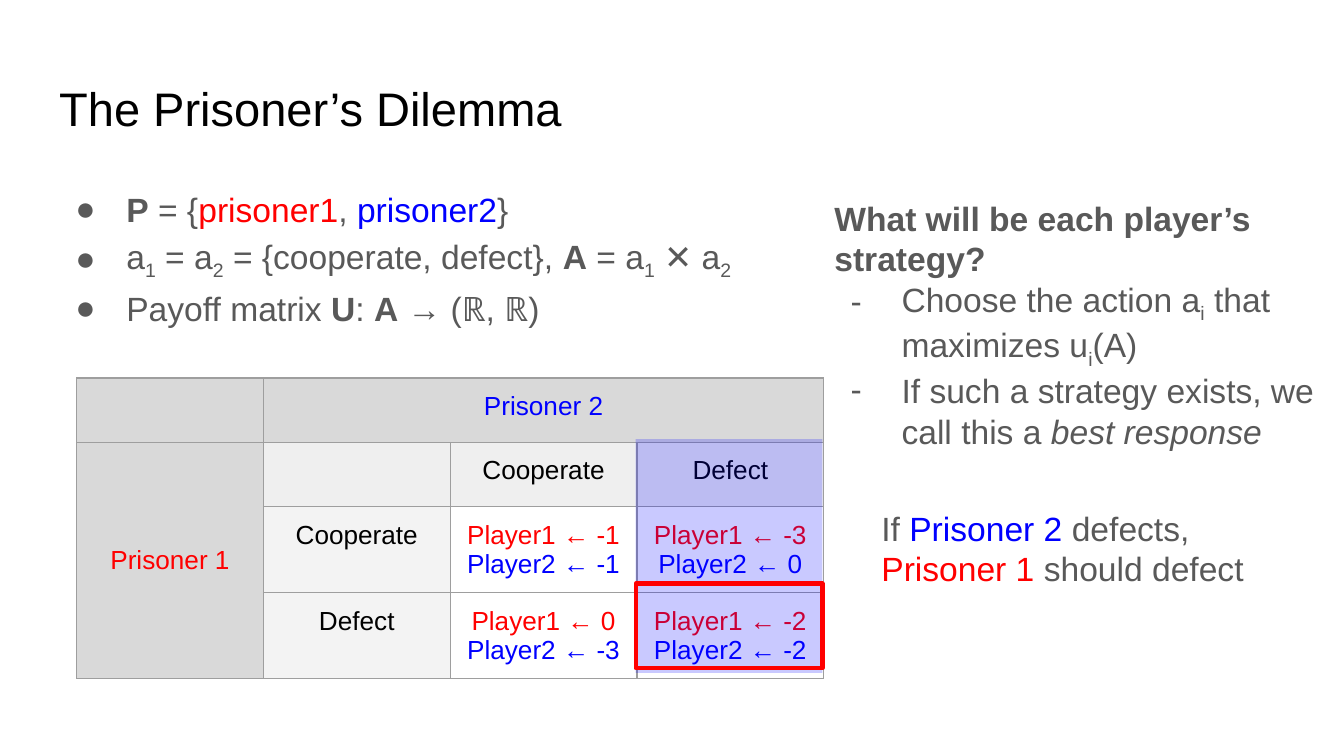
from dataclasses import dataclass
from typing import Optional

from lxml.etree import SubElement
from pptx import Presentation
from pptx.dml.color import RGBColor
from pptx.enum.shapes import MSO_SHAPE as Shape
from pptx.enum.text import MSO_ANCHOR as Anchor, MSO_AUTO_SIZE as AutoSize, PP_ALIGN as Align
from pptx.oxml.ns import qn
from pptx.util import Inches, Pt

WIDTH, HEIGHT = Inches(10), Inches(5.625)
FONT = "Arial"
BLACK = RGBColor(0, 0, 0)
GRAY = RGBColor(0x59, 0x59, 0x59)
RED = RGBColor(0xFF, 0, 0)
BLUE = RGBColor(0, 0, 0xFF)
BORDER = RGBColor(0x9E, 0x9E, 0x9E)
HEADER = RGBColor(0xD9, 0xD9, 0xD9)
SUBHEADER = RGBColor(0xEF, 0xEF, 0xEF)
ROW_LABEL = RGBColor(0xF3, 0xF3, 0xF3)


@dataclass(frozen=True)
class Frame:
    """Percentages of the slide's width and height."""
    left: float
    top: float
    width: float
    height: float

    def lengths(self) -> tuple:
        return (int(WIDTH * self.left / 100), int(HEIGHT * self.top / 100),
                int(WIDTH * self.width / 100), int(HEIGHT * self.height / 100))


@dataclass(frozen=True)
class Span:
    text: str
    color: Optional[RGBColor] = None
    bold: bool = False
    italic: bool = False
    subscript: bool = False


@dataclass(frozen=True)
class Line:
    spans: tuple
    bullet: str = ""
    bold: bool = False
    color: RGBColor = GRAY
    size: float = 18
    align: Align = Align.LEFT
    spacing: float = 1.0


@dataclass(frozen=True)
class Cell:
    row: int
    column: int
    lines: tuple = ()
    fill: Optional[RGBColor] = None
    anchor: Anchor = Anchor.TOP


def sub(text: str) -> Span:
    return Span(text, subscript=True)


def strong(text: str) -> Span:
    return Span(text, bold=True)


def add_bullet(para, bullet: str) -> None:
    properties = para._p.get_or_add_pPr()
    properties.set("marL", str(Inches(0.5)))
    properties.set("indent", str(Inches(-0.38)))
    color = SubElement(properties, qn("a:buClr"))
    SubElement(color, qn("a:srgbClr")).set("val", str(GRAY))
    SubElement(properties, qn("a:buFont")).set("typeface", FONT)
    SubElement(properties, qn("a:buChar")).set("char", bullet)


def write_span(para, span: Span) -> None:
    run = para.add_run()
    run.text = span.text
    if span.color is not None:
        run.font.color.rgb = span.color
    if span.bold:
        run.font.bold = True
    if span.italic:
        run.font.italic = True
    if span.subscript:
        run._r.get_or_add_rPr().set("baseline", "-25000")


def write_lines(text_frame, lines: tuple) -> None:
    for index, line in enumerate(lines):
        para = text_frame.add_paragraph() if index else text_frame.paragraphs[0]
        para.alignment, para.line_spacing = line.align, line.spacing
        para.space_before = Pt(0)
        if line.bullet:
            add_bullet(para, line.bullet)
        para.font.name, para.font.size = FONT, Pt(line.size)
        para.font.color.rgb, para.font.bold = line.color, line.bold
        for span in line.spans:
            if span.text == "\n":
                para.add_line_break()
            else:
                write_span(para, span)


def fill_box(box, frame: Frame, lines: tuple, anchor: Anchor = Anchor.TOP) -> None:
    box.left, box.top, box.width, box.height = frame.lengths()
    text_frame = box.text_frame
    text_frame.word_wrap, text_frame.auto_size = True, AutoSize.NONE
    text_frame.vertical_anchor = anchor
    text_frame.margin_left = text_frame.margin_right = Inches(0.1)
    text_frame.margin_top = text_frame.margin_bottom = Inches(0.1)
    write_lines(text_frame, lines)


def add_text(page, frame: Frame, lines: tuple) -> None:
    fill_box(page.shapes.add_textbox(*frame.lengths()), frame, lines)


def add_rectangle(page, frame: Frame):
    box = page.shapes.add_shape(Shape.RECTANGLE, *frame.lengths())
    box.shadow.inherit = False
    return box


def add_borders(cell) -> None:
    properties = cell._tc.get_or_add_tcPr()
    for side in ("lnL", "lnR", "lnT", "lnB"):
        border = SubElement(properties, qn(f"a:{side}"), w=str(Pt(0.75)))
        fill = SubElement(border, qn("a:solidFill"))
        SubElement(fill, qn("a:srgbClr")).set("val", str(BORDER))


def add_payoff_table(page, frame: Frame, row_shares: tuple, cells: tuple) -> None:
    table = page.shapes.add_table(4, 4, *frame.lengths()).table
    table.first_row = table.horz_banding = False
    for row, share in zip(table.rows, row_shares):
        row.height = int(HEIGHT * share / 100)
    for cell in table.iter_cells():
        add_borders(cell)
        cell.fill.background()
        cell.margin_left = cell.margin_right = Inches(0.1)
        cell.margin_top = cell.margin_bottom = Inches(0.1)
        cell.text_frame.paragraphs[0].font.size = Pt(14)
    table.cell(0, 1).merge(table.cell(0, 3))
    table.cell(1, 0).merge(table.cell(3, 0))
    for item in cells:
        cell = table.cell(item.row, item.column)
        cell.vertical_anchor = item.anchor
        if item.fill is not None:
            cell.fill.solid()
            cell.fill.fore_color.rgb = item.fill
        write_lines(cell.text_frame, item.lines)


def label(text: str, color: RGBColor = BLACK) -> Line:
    return Line((Span(text),), color=color, size=14, align=Align.CENTER)


def payoff(row: int, column: int, first: int, second: int) -> Cell:
    return Cell(row, column, (label(f"Player1 ← {first}", RED), label(f"Player2 ← {second}", BLUE)))


def item(*spans: Span) -> Line:
    return Line(spans, bullet="●", spacing=1.15)


def main() -> None:
    deck = Presentation()
    deck.slide_width, deck.slide_height = WIDTH, HEIGHT
    page = deck.slides.add_slide(deck.slide_layouts[1])

    title = Line((Span("The Prisoner’s Dilemma"),), color=BLACK, size=25.2)
    fill_box(page.shapes.title, Frame(3.4, 8.7, 93.2, 11.2), (title,), Anchor.MIDDLE)
    fill_box(page.placeholders[1], Frame(3.4, 22.4, 93.2, 33.1), (
        item(strong("P"), Span(" = {"), Span("prisoner1", RED), Span(", "),
             Span("prisoner2", BLUE), Span("}")),
        item(Span("a"), sub("1"), Span(" = a"), sub("2"), Span(" = {cooperate, defect}, "),
             strong("A"), Span(" = a"), sub("1"), Span(" ✕ a"), sub("2")),
        item(Span("Payoff matrix "), strong("U"), Span(": "), strong("A"), Span(" → (ℝ, ℝ)")),
    ))
    add_payoff_table(page, Frame(5.7, 50, 55.6, 39.8), (8.53, 8.53, 11.38, 11.38), (
        Cell(0, 0, fill=HEADER),
        Cell(0, 1, (label("Prisoner 2", BLUE),), HEADER),
        Cell(1, 0, (label("Prisoner 1", RED),), HEADER, Anchor.MIDDLE),
        Cell(1, 1, fill=SUBHEADER),
        Cell(1, 2, (label("Cooperate"),), SUBHEADER),
        Cell(1, 3, (label("Defect"),), SUBHEADER),
        Cell(2, 1, (label("Cooperate"),), ROW_LABEL),
        Cell(3, 1, (label("Defect"),), ROW_LABEL),
        payoff(2, 2, -1, -1), payoff(2, 3, -3, 0),
        payoff(3, 2, 0, -3), payoff(3, 3, -2, -2),
    ))
    add_text(page, Frame(61.1, 24.4, 38.9, 74.1), (
        Line((Span("What will be each player’s strategy?"),), bold=True),
        Line((Span("Choose the action a"), sub("i"), Span(" that maximizes u"), sub("i"),
              Span("(A)")), bullet="-"),
        Line((Span("If such a strategy exists, we call this a "),
              Span("best response", italic=True)), bullet="-"),
    ))

    defect_column = add_rectangle(page, Frame(47.3, 58.1, 13.9, 30.9))
    defect_column.fill.solid()
    defect_column.fill.fore_color.rgb = BLUE
    defect_column.line.fill.background()
    tint = defect_column._element.spPr.find(qn("a:solidFill"))[0]
    SubElement(tint, qn("a:alpha")).set("val", "21000")

    add_text(page, Frame(64.6, 65.4, 35.4, 34.6), (
        Line((Span("If "), Span("Prisoner 2", BLUE), Span(" defects,"), Span("\n"),
              Span("Prisoner 1", RED), Span(" should defect"))),
    ))

    best_response = add_rectangle(page, Frame(47.3, 77.2, 13.9, 11.2))
    best_response.fill.background()
    best_response.line.color.rgb, best_response.line.width = RED, Pt(2.25)
    deck.save("out.pptx")


if __name__ == "__main__":
    main()
